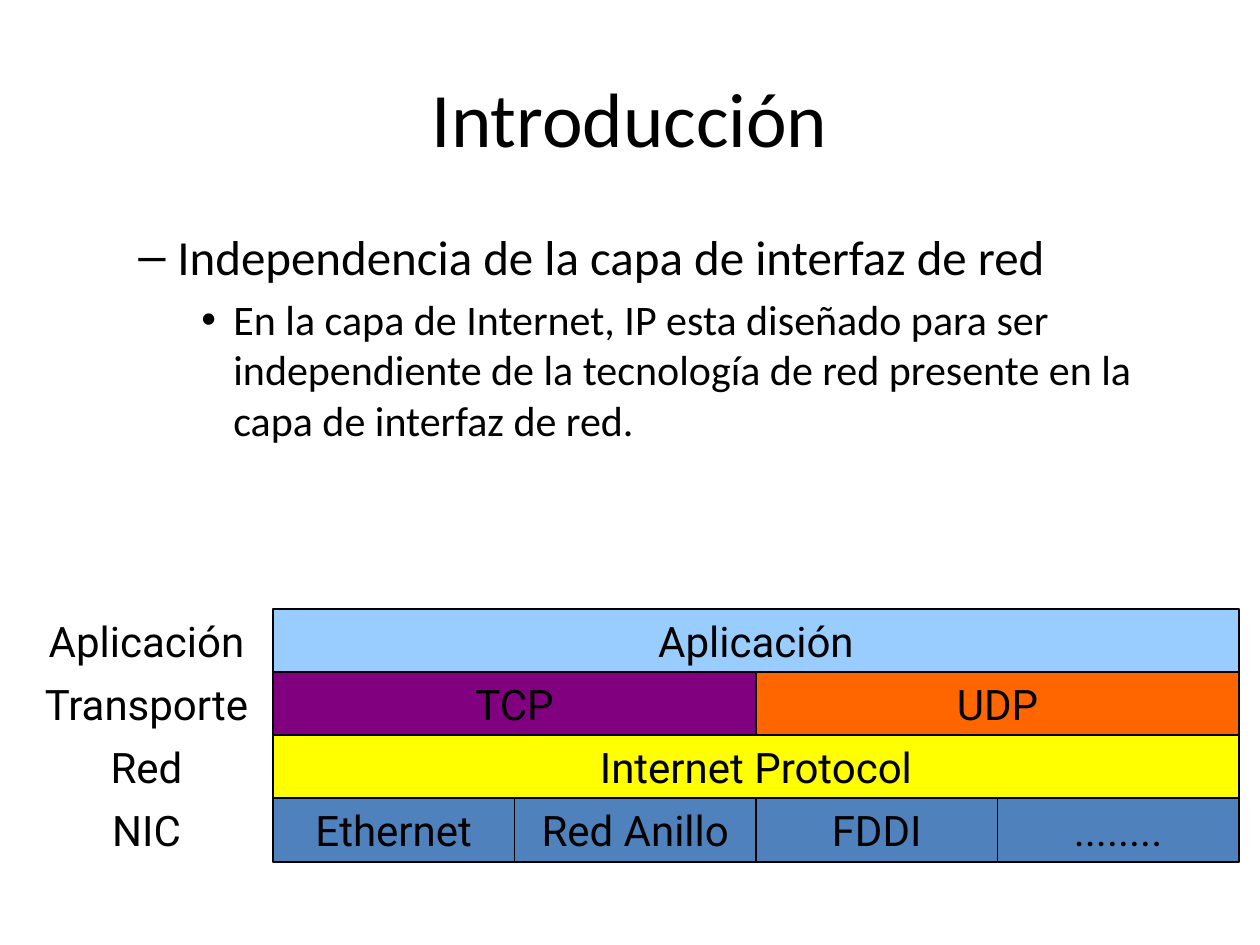
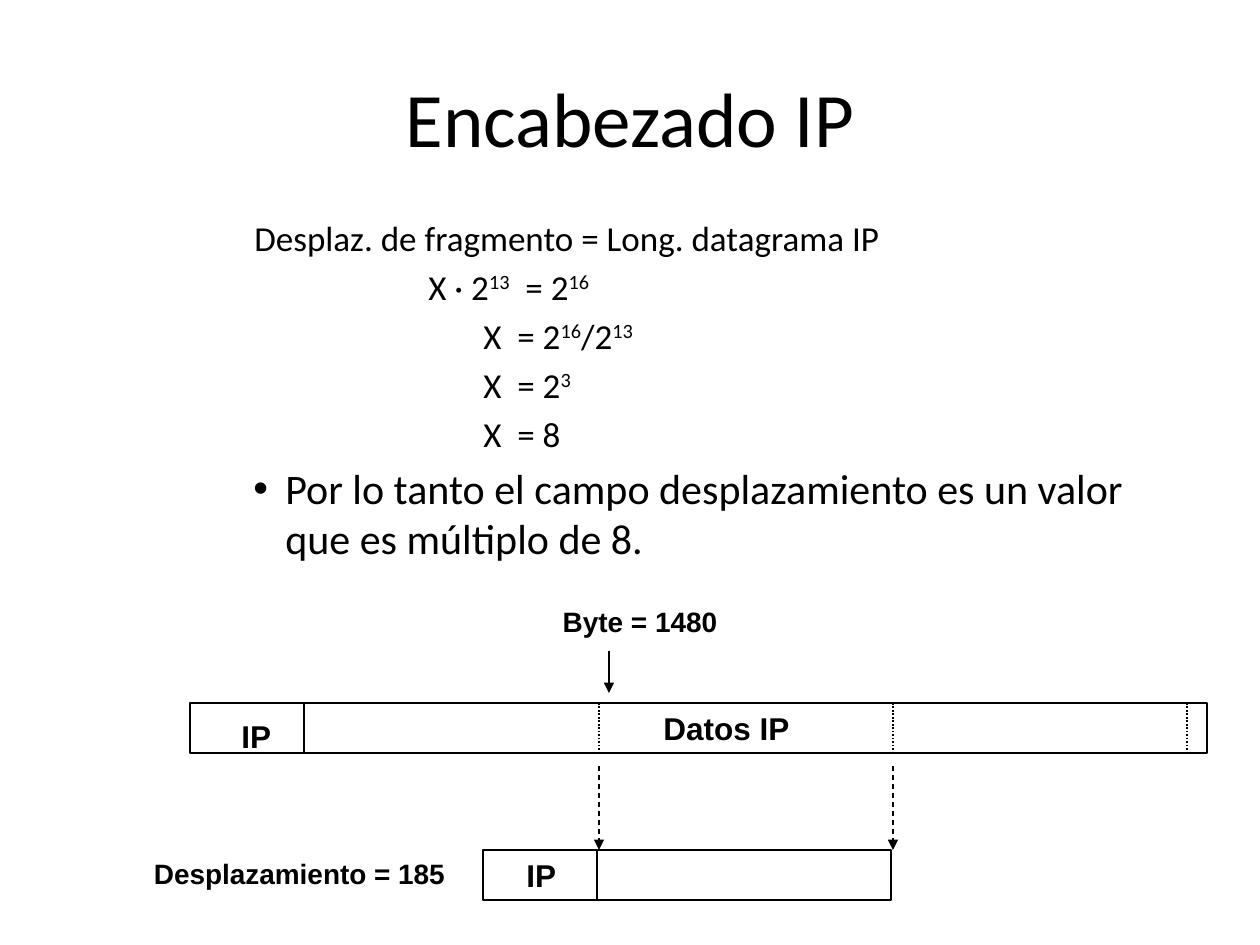
from dataclasses import dataclass

from lxml import etree
from pptx import Presentation
from pptx.dml.color import RGBColor
from pptx.enum.dml import MSO_LINE
from pptx.enum.shapes import MSO_CONNECTOR, MSO_SHAPE
from pptx.enum.text import MSO_ANCHOR, PP_ALIGN
from pptx.oxml.ns import qn
from pptx.util import Emu, Pt

STRAIGHT = MSO_CONNECTOR.STRAIGHT
RECTANGLE = MSO_SHAPE.RECTANGLE
DOTTED, DASHED = MSO_LINE.ROUND_DOT, MSO_LINE.DASH
TOP, MIDDLE = MSO_ANCHOR.TOP, MSO_ANCHOR.MIDDLE
LEFT, CENTER = PP_ALIGN.LEFT, PP_ALIGN.CENTER
PX_PER_INCH = 126


@dataclass(frozen=True)
class Theme:
    ink: str = "000000"
    paper: str = "FFFFFF"
    application: str = "99CCFF"
    tcp: str = "800080"
    udp: str = "FF6600"
    internet: str = "FFFF00"
    interface: str = "4F81BD"
    body_font: str = "Calibri"
    layer_font: str = "Roboto"
    diagram_font: str = "Arial"
    title: int = 44
    heading: int = 28
    body: int = 24
    formula: int = 20
    field: int = 18
    note: int = 16
    thin: float = 0.75
    medium: float = 1


@dataclass(frozen=True)
class Box:
    left: int
    top: int
    width: int
    height: int

    def inner(self, left, top, width, height):
        return Box(self.left + left, self.top + top, width, height)

    def emu(self):
        return [px(n) for n in (self.left, self.top, self.width, self.height)]


THEME = Theme()


def px(length):
    return Emu(round(length * 914400 / PX_PER_INCH))


def color(code):
    return RGBColor.from_string(code)


def style(font, size, name, bold=False):
    font.size, font.name, font.bold = Pt(size), name, bold
    font.color.rgb = color(THEME.ink)


def write(frame, text, size, name, align=LEFT, anchor=TOP, bold=False, wrap=True):
    frame.word_wrap = wrap
    frame.vertical_anchor = anchor
    paragraph = frame.paragraphs[0]
    paragraph.text = text
    paragraph.alignment = align
    style(paragraph.runs[0].font, size, name, bold)


def add_text(slide, box, text, size, name, **options):
    frame = slide.shapes.add_textbox(*box.emu()).text_frame
    write(frame, text, size, name, **options)


def add_block(slide, box, fill=None, weight=THEME.medium):
    block = slide.shapes.add_shape(RECTANGLE, *box.emu())
    block.shadow.inherit = False
    if fill:
        block.fill.solid()
        block.fill.fore_color.rgb = color(fill)
    else:
        block.fill.background()
    block.line.color.rgb = color(THEME.ink)
    block.line.width = Pt(weight)
    return block


def add_vertical(slide, x, top, bottom, weight, dash=None, arrow=False):
    line = slide.shapes.add_connector(STRAIGHT, px(x), px(top), px(x), px(bottom))
    line.line.color.rgb = color(THEME.ink)
    line.line.width = Pt(weight)
    if dash:
        line.line.dash_style = dash
    properties = line.element.spPr
    if arrow:
        etree.SubElement(properties.find(qn("a:ln")), qn("a:tailEnd"), type="triangle")
    etree.SubElement(properties, qn("a:effectLst"))


def add_body(slide, box):
    frame = slide.shapes.add_textbox(*box.emu()).text_frame
    frame.word_wrap = True
    return frame


def add_paragraph(frame, parts, size, margin, hanging=0, bullet=None):
    first = not frame.paragraphs[0].runs
    paragraph = frame.paragraphs[0] if first else frame.add_paragraph()
    properties = paragraph._p.get_or_add_pPr()
    properties.set("marL", str(px(margin)))
    properties.set("indent", str(-px(hanging)))
    if bullet:
        etree.SubElement(properties, qn("a:buFont"), typeface="Arial")
        etree.SubElement(properties, qn("a:buChar"), char=bullet)
    if not first:
        paragraph.space_before = Pt(size * 0.2)
    for text, attributes in parts:
        run = paragraph.add_run()
        run.text = text
        style(run.font, size, THEME.body_font)
        for key, value in attributes.items():
            run._r.get_or_add_rPr().set(key, value)


def plain(text):
    return text, {}


def power(text):
    return text, {"baseline": "30000"}


def add_title(slide, text):
    add_text(slide, Box(63, 38, 1134, 157), text, THEME.title, THEME.body_font,
             align=CENTER, anchor=MIDDLE)


def add_independence(slide, box):
    frame = add_body(slide, box)
    add_paragraph(frame, [plain("Independencia de la capa de interfaz de red")],
                  THEME.heading, 102, 39, "–")
    add_paragraph(frame, [plain("En la capa de Internet, IP esta diseñado para ser "
                                "independiente de la tecnología de red presente en la "
                                "capa de interfaz de red.")],
                  THEME.body, 158, 32, "•")


def add_layer_stack(slide, box):
    layers = [
        ("Aplicación", [("Aplicación", THEME.application)]),
        ("Transporte", [("TCP", THEME.tcp), ("UDP", THEME.udp)]),
        ("Red", [("Internet Protocol", THEME.internet)]),
        ("NIC", [(name, THEME.interface)
                 for name in ("Ethernet", "Red Anillo", "FDDI", "........")]),
    ]
    pitch = box.height // len(layers)
    stack_left = 242
    stack_width = box.width - stack_left
    for row, (layer, protocols) in enumerate(layers):
        top = row * pitch
        add_text(slide, box.inner(0, top, 231, pitch), layer,
                 THEME.body, THEME.layer_font, align=CENTER)
        width = stack_width / len(protocols)
        for column, (protocol, fill) in enumerate(protocols):
            cell = box.inner(stack_left + column * width, top, width, pitch + 1)
            block = add_block(slide, cell, fill, THEME.thin)
            write(block.text_frame, protocol, THEME.body, THEME.layer_font, align=CENTER)


def add_derivation(slide, box):
    wide_space = (" ", {"spc": "450"})
    equals = [plain("X"), wide_space]
    steps = [
        (126, [plain("Desplaz. de fragmento = Long. datagrama IP")]),
        (300, [plain("X · 2"), power("13"), wide_space, plain("= 2"), power("16")]),
        (355, equals + [plain("= 2"), power("16"), plain("/2"), power("13")]),
        (355, equals + [plain("= 2"), power("3")]),
        (355, equals + [plain("= 8")]),
    ]
    frame = add_body(slide, box)
    for margin, parts in steps:
        add_paragraph(frame, parts, THEME.formula, margin)
    add_paragraph(frame, [plain("Por lo tanto el campo desplazamiento es un valor "
                                "que es múltiplo de 8.")],
                  THEME.body, 157, 32, "•")


def add_packet(slide, box, data_left, data_fill, labels):
    add_block(slide, box.inner(data_left, 0, box.width - data_left, box.height), data_fill)
    add_block(slide, box.inner(0, 0, 114, box.height), THEME.paper)
    for text, left, top, width in labels:
        add_text(slide, box.inner(left, top, width, box.height), text,
                 THEME.field, THEME.diagram_font, bold=True)


def add_note(slide, box, text):
    add_text(slide, box, text, THEME.note, THEME.diagram_font, align=CENTER, bold=True)


def add_fragmentation(slide, box):
    datagram = box.inner(63, 105, 1017, 50)
    fragment = box.inner(356, 252, 408, 50)
    add_packet(slide, datagram, 73, None,
               [("IP", 39, 8, 64), ("Datos IP", 461, 0, 160)])
    add_packet(slide, fragment, 74, THEME.paper, [("IP", 31, 0, 64)])
    boundaries = [box.left + 472 + 294 * index for index in range(3)]
    datagram_bottom = datagram.top + datagram.height
    for x in boundaries:
        add_vertical(slide, x, datagram.top, datagram_bottom, THEME.medium, DOTTED)
    for x in boundaries[:2]:
        add_vertical(slide, x, datagram_bottom + 13, fragment.top,
                     THEME.thin, DASHED, arrow=True)
    add_note(slide, box.inner(387, 0, 252, 45), "Byte = 1480")
    add_vertical(slide, box.left + 482, box.top + 53, box.top + 95,
                 THEME.thin, arrow=True)
    add_note(slide, box.inner(-1, 252, 347, 45), "Desplazamiento = 185")


def build_introduction(slide):
    add_title(slide, "Introducción")
    add_independence(slide, Box(63, 220, 1134, 624))
    add_layer_stack(slide, Box(31, 609, 1208, 252))


def build_ip_header(slide):
    add_title(slide, "Encabezado IP")
    add_derivation(slide, Box(116, 210, 1071, 567))
    add_fragmentation(slide, Box(127, 598, 1080, 302))


def main():
    deck = Presentation()
    deck.slide_width, deck.slide_height = px(1260), px(945)
    blank = deck.slide_layouts[6]
    for build in (build_introduction, build_ip_header):
        build(deck.slides.add_slide(blank))
    deck.save("out.pptx")


if __name__ == "__main__":
    main()
